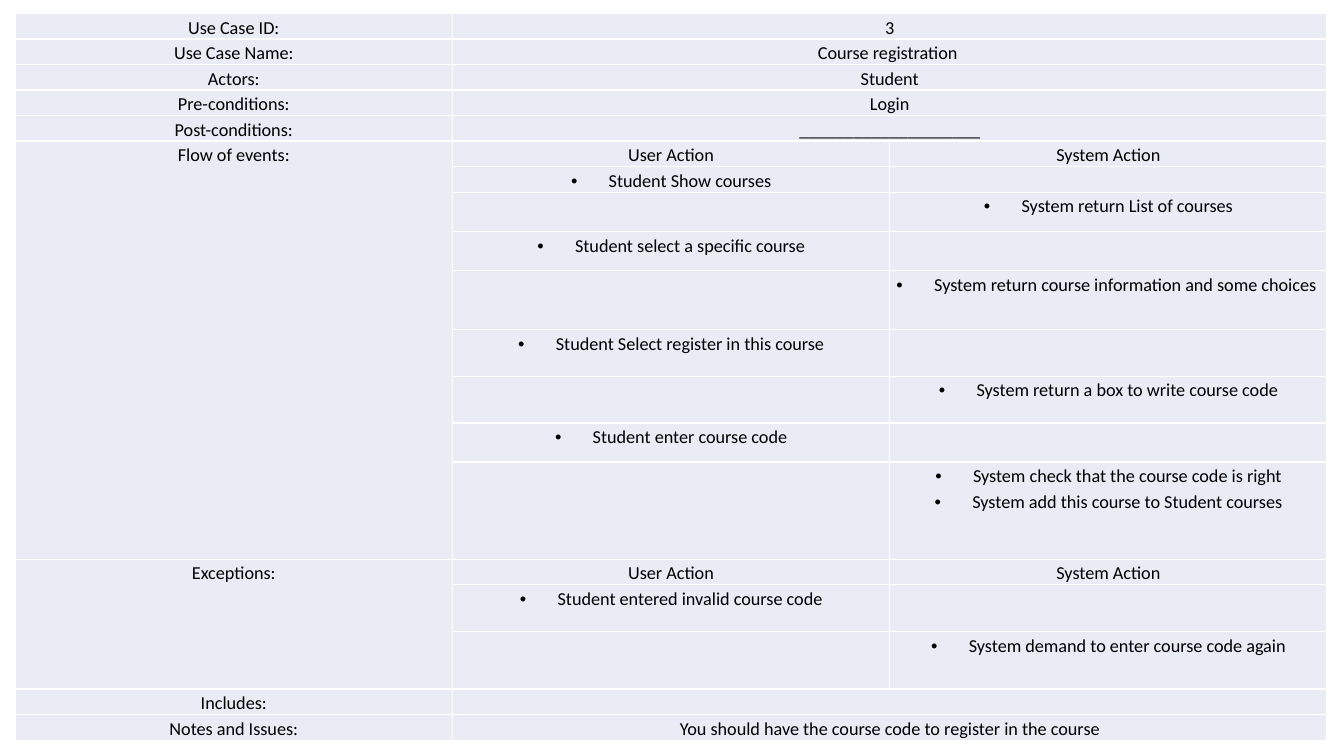
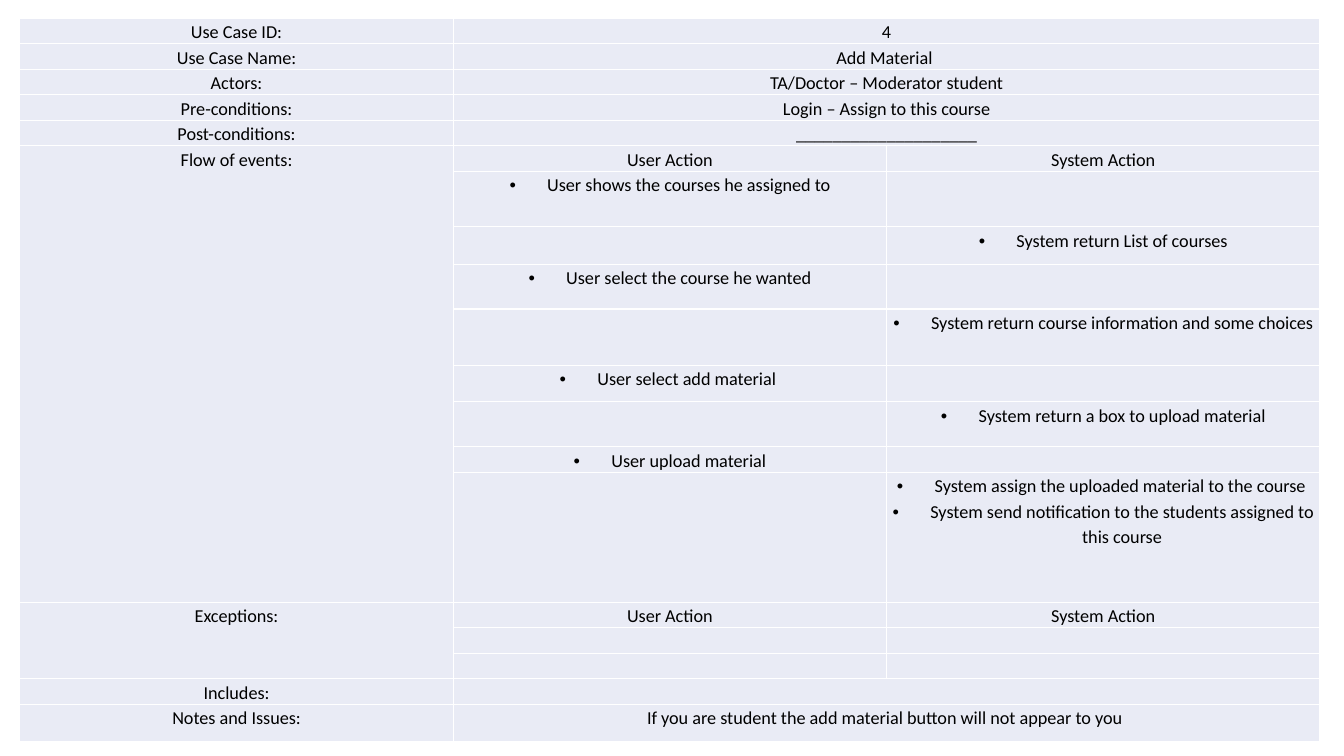
from dataclasses import dataclass
from typing import Any

from lxml import etree
from pptx import Presentation
from pptx.dml.color import RGBColor
from pptx.enum.text import PP_ALIGN
from pptx.oxml.ns import qn
from pptx.slide import Slide
from pptx.table import Table
from pptx.util import Cm, Length, Pt

CENTER = PP_ALIGN.CENTER
COLORS = {"cell": "E9EBF5", "border": "FFFFFF", "text": "000000"}
LINE_HEIGHT = 0.64
BULLET_INDENT = Cm(0.95)
BORDER_WIDTH = Pt(1)
BORDER_SIDES = ("a:lnL", "a:lnR", "a:lnT", "a:lnB")
USER, SYSTEM = 1, 2

FONT_FORMAT = {"name": "Calibri", "size": Pt(13)}
PARAGRAPH_FORMAT = {"alignment": CENTER, "line_spacing": 1.15}
CELL_FORMAT = {
    "margin_left": Cm(0.13),
    "margin_right": Cm(0.13),
    "margin_top": Cm(0),
    "margin_bottom": Cm(0),
}
TABLE_FORMAT = {"first_row": False, "horz_banding": False}


@dataclass(frozen=True)
class Event:
    actor: int
    height: float
    lines: tuple[str, ...] = ()
    space_after: float = 10


@dataclass(frozen=True)
class UseCase:
    left: float
    top: float
    column_width: float
    number: str
    name: str
    actors: str
    preconditions: str
    flow: tuple[Event, ...]
    exceptions: tuple[Event, ...]
    remark: str
    remark_height: float = LINE_HEIGHT


USE_CASES = (
    UseCase(
        left=0.38,
        top=0.34,
        column_width=11.02,
        number="3",
        name="Course registration ",
        actors="Student",
        preconditions="Login",
        flow=(
            Event(USER, LINE_HEIGHT, ("Student Show courses",)),
            Event(SYSTEM, 1, ("System return List of courses",)),
            Event(USER, 0.98, ("Student select a specific course",), 0),
            Event(SYSTEM, 1.48, ("System return course information and some choices ",)),
            Event(USER, 1.18, ("Student Select register in this course",), 0),
            Event(SYSTEM, 1.18, ("System return a box to write course code",)),
            Event(USER, 0.98, ("Student enter course code",), 0),
            Event(SYSTEM, 2.45, (
                "System check that the course code is right",
                "System add this course to Student courses",
            )),
        ),
        exceptions=(
            Event(USER, 1.18, ("Student entered invalid course code",)),
            Event(SYSTEM, 1.45, ("System demand to enter course code again",), 2),
        ),
        remark="You should have the course code to register in the course",
    ),
    UseCase(
        left=0.5,
        top=0.46,
        column_width=10.92,
        number="4",
        name="Add Material ",
        actors="TA/Doctor – Moderator student",
        preconditions="Login – Assign to this course",
        flow=(
            Event(USER, 1.4, ("User shows the courses he assigned to",)),
            Event(SYSTEM, 0.94, ("System return List of courses",)),
            Event(USER, 1.13, ("User select the course he wanted",), 0),
            Event(SYSTEM, 1.42, ("System return course information and some choices ",)),
            Event(USER, 0.92, ("User select add material ",), 0),
            Event(SYSTEM, 1.13, ("System return a box to upload material",)),
            Event(USER, LINE_HEIGHT, ("User upload material",), 0),
            Event(SYSTEM, 3.28, (
                "System assign the uploaded material to the course ",
                "System send notification to the students assigned to this course",
            )),
        ),
        exceptions=(Event(USER, LINE_HEIGHT), Event(SYSTEM, LINE_HEIGHT)),
        remark="If you are student the add material button will not appear to you ",
        remark_height=0.95,
    ),
)


def apply_format(target: Any, values: dict[str, Any]) -> None:
    for name, value in values.items():
        setattr(target, name, value)


def style_cell(cell: Any) -> None:
    """Set margins, borders, fill and the height of an empty line."""
    apply_format(cell, CELL_FORMAT)
    properties = cell._tc.get_or_add_tcPr()
    for side in BORDER_SIDES:
        line = etree.SubElement(properties, qn(side), w=str(BORDER_WIDTH))
        fill = etree.SubElement(line, qn("a:solidFill"))
        etree.SubElement(fill, qn("a:srgbClr"), val=COLORS["border"])
    cell.fill.solid()
    cell.fill.fore_color.rgb = RGBColor.from_string(COLORS["cell"])
    paragraph = cell.text_frame.paragraphs[0]
    apply_format(paragraph, PARAGRAPH_FORMAT)
    size = str(int(FONT_FORMAT["size"].pt * 100))
    etree.SubElement(paragraph._p, qn("a:endParaRPr"), sz=size)


def add_bullet(paragraph: Any) -> None:
    properties = paragraph._p.get_or_add_pPr()
    properties.set("marL", str(BULLET_INDENT))
    properties.set("indent", str(-BULLET_INDENT))
    etree.SubElement(properties, qn("a:buFont"), typeface="Arial")
    etree.SubElement(properties, qn("a:buChar"), char="•")


def write_cell(cell: Any, lines: tuple[str, ...], bulleted: bool = False,
               space_after: float = 10) -> None:
    """Write one paragraph per line, with space only after the last."""
    frame = cell.text_frame
    for index, text in enumerate(lines):
        paragraph = frame.add_paragraph() if index else frame.paragraphs[0]
        apply_format(paragraph, PARAGRAPH_FORMAT)
        paragraph.space_after = Pt(space_after if index == len(lines) - 1 else 0)
        if bulleted:
            add_bullet(paragraph)
        span = paragraph.add_run()
        span.text = text
        apply_format(span.font, FONT_FORMAT)
        span.font.color.rgb = RGBColor.from_string(COLORS["text"])


def write_field(table: Table, row: int, label: str, value: str) -> None:
    """Fill a row whose value spans both action columns."""
    table.cell(row, USER).merge(table.cell(row, SYSTEM))
    write_cell(table.cell(row, 0), (label,))
    if value:
        write_cell(table.cell(row, USER), (value,))


def write_events(table: Table, row: int, label: str, events: tuple[Event, ...]) -> None:
    """Fill a block of user and system actions beside one tall label."""
    table.cell(row, 0).merge(table.cell(row + len(events), 0))
    for column, text in ((0, label), (USER, "User Action"), (SYSTEM, "System Action")):
        write_cell(table.cell(row, column), (text,))
    for offset, event in enumerate(events, start=1):
        write_cell(table.cell(row + offset, event.actor), event.lines,
                   bulleted=True, space_after=event.space_after)


def add_use_case(page: Slide, case: UseCase) -> None:
    opening = (
        ("Use Case ID:", case.number),
        ("Use Case Name:", case.name),
        ("Actors:", case.actors),
        ("Pre-conditions:", case.preconditions),
        ("Post-conditions:", "_" * 20),
    )
    blocks = (("Flow of events:", case.flow), ("Exceptions:", case.exceptions))
    closing = (("Includes:", ""), ("Notes and Issues:", case.remark))

    heights = [LINE_HEIGHT] * len(opening)
    for _, events in blocks:
        heights += [LINE_HEIGHT, *(event.height for event in events)]
    heights += [LINE_HEIGHT, case.remark_height]

    width: Length = Cm(case.column_width)
    box = page.shapes.add_table(len(heights), 3, Cm(case.left), Cm(case.top),
                                width * 3, Cm(sum(heights)))
    table = box.table
    apply_format(table, TABLE_FORMAT)
    for column in table.columns:
        column.width = width

    row = 0
    for label, value in opening:
        write_field(table, row, label, value)
        row += 1
    for label, events in blocks:
        write_events(table, row, label, events)
        row += len(events) + 1
    for label, value in closing:
        write_field(table, row, label, value)
        row += 1

    for table_row, height in zip(table.rows, heights):
        table_row.height = Cm(height)
        for cell in table_row.cells:
            style_cell(cell)


def main() -> None:
    deck = Presentation()
    deck.slide_width, deck.slide_height = Cm(33.87), Cm(19.05)
    blank = deck.slide_layouts[6]
    for case in USE_CASES:
        add_use_case(deck.slides.add_slide(blank), case)
    deck.save("out.pptx")


if __name__ == "__main__":
    main()
